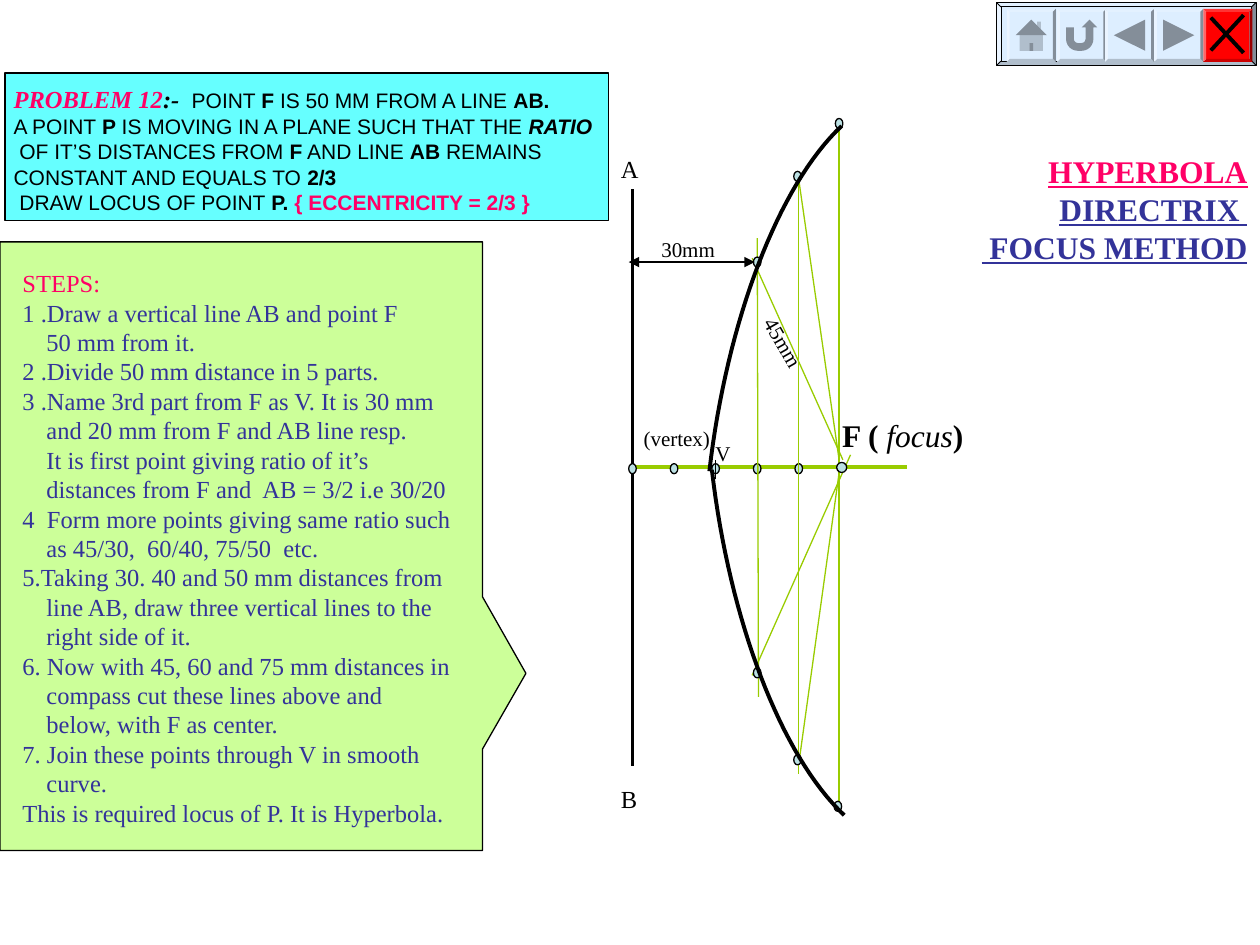
from dataclasses import dataclass
from typing import NamedTuple, Optional

from lxml.etree import SubElement
from pptx import Presentation
from pptx.dml.color import RGBColor
from pptx.enum.shapes import MSO_CONNECTOR, MSO_SHAPE
from pptx.enum.text import MSO_AUTO_SIZE, PP_ALIGN
from pptx.oxml.ns import qn
from pptx.util import Inches, Pt


@dataclass(frozen=True)
class Theme:
    black: str = "000000"
    pink: str = "FF0066"
    navy: str = "333399"
    green: str = "99CC00"
    dot: str = "BBE0E3"
    cyan: str = "66FFFF"
    lime: str = "CCFF99"
    button: str = "DDEEFF"
    red: str = "FF0000"
    serif: str = "Times New Roman"
    sans: str = "Arial"
    large: float = 18
    medium: float = 14
    small: float = 12
    thin: float = 0.75
    thick: float = 2.25


T = Theme()


class Run(NamedTuple):
    text: str
    bold: bool = False
    italic: bool = False
    color: Optional[str] = None
    size: Optional[float] = None
    font: Optional[str] = None


class Para(NamedTuple):
    runs: list[Run]
    color: str = T.black
    underline: bool = False
    indent: float = 0


class Box(NamedTuple):
    x: float
    y: float
    w: float
    h: float


class Label(NamedTuple):
    text: str
    box: Box
    size: float
    rotation: float = 0


class Segment(NamedTuple):
    x1: float
    y1: float
    x2: float
    y2: float


def add_line(s, seg: Segment, color: str, width: float, arrows: bool = False):
    ln = s.shapes.add_connector(MSO_CONNECTOR.STRAIGHT, *map(Inches, seg))
    ln.line.color.rgb = RGBColor.from_string(color)
    ln.line.width = Pt(width)
    if arrows:
        for end in ("a:headEnd", "a:tailEnd"):
            SubElement(ln.line._get_or_add_ln(), qn(end), type="triangle")
    SubElement(ln._element.spPr, qn("a:effectLst"))


def add_box(s, kind, box: Box, fill: str, line: Optional[str] = T.black, width: float = T.thin):
    sp = s.shapes.add_shape(kind, *map(Inches, box))
    sp.shadow.inherit = False
    sp.fill.solid()
    sp.fill.fore_color.rgb = RGBColor.from_string(fill)
    if line:
        sp.line.color.rgb = RGBColor.from_string(line)
        sp.line.width = Pt(width)
    else:
        sp.line.fill.background()
    return sp


def add_dot(s, cx: float, cy: float, w: float = 0.06, h: float = 0.08):
    add_box(s, MSO_SHAPE.OVAL, Box(cx - w / 2, cy - h / 2, w, h), T.dot)


def add_curve(s, points: list[tuple[float, float]], steps: int = 32):
    """Draw a cubic Bezier curve from its four control points."""
    weights = [((1 - t) ** 3, 3 * t * (1 - t) ** 2, 3 * t * t * (1 - t), t ** 3)
               for t in (i / steps for i in range(steps + 1))]
    trace = [tuple(Inches(sum(k * p[axis] for k, p in zip(ws, points))) for axis in (0, 1))
             for ws in weights]
    builder = s.shapes.build_freeform(*trace[0])
    builder.add_line_segments(trace[1:], close=False)
    sp = builder.convert_to_shape()
    sp.shadow.inherit = False
    sp.fill.background()
    sp.line.color.rgb = RGBColor.from_string(T.black)
    sp.line.width = Pt(T.thick)


def add_text(s, box: Box, paras: list[Para], size: float, font: str = T.serif,
             align=PP_ALIGN.LEFT, wrap: bool = False):
    tb = s.shapes.add_textbox(*map(Inches, box))
    tf = tb.text_frame
    tf.word_wrap = wrap
    tf.auto_size = MSO_AUTO_SIZE.SHAPE_TO_FIT_TEXT
    for i, para in enumerate(paras):
        p = tf.paragraphs[0] if i == 0 else tf.add_paragraph()
        p.alignment = align
        if para.indent:
            p._p.get_or_add_pPr().set("marL", str(Inches(para.indent)))
        p.font.name, p.font.size = font, Pt(size)
        p.font.underline = para.underline
        p.font.color.rgb = RGBColor.from_string(para.color)
        for run in para.runs:
            r = p.add_run()
            r.text = run.text
            r.font.bold, r.font.italic = run.bold, run.italic
            if run.color:
                r.font.color.rgb = RGBColor.from_string(run.color)
            if run.size:
                r.font.size = Pt(run.size)
            if run.font:
                r.font.name = run.font
    return tb


AXIS_Y, LINE_X, PART = 3.72, 5.02, 0.33
RAYS = [
    Segment(6.01, 1.89, 6.02, 5.53), Segment(6.69, 3.65, 5.97, 2.05), Segment(6.75, 3.61, 5.97, 5.36),
    Segment(6.34, 1.36, 6.34, 6.14), Segment(6.66, 3.65, 6.33, 1.36), Segment(6.67, 3.68, 6.34, 6.06),
    Segment(6.66, 1, 6.66, 6.44),
]
LOCUS_POINTS = [(6.01, 2.08), (6.33, 1.4), (6.66, 0.98), (6.01, 5.34), (6.33, 6.03), (6.65, 6.4)]
CURVES = [
    [(6.7, 6.47), (6.2, 6), (5.79, 4.93), (5.65, 3.73)],
    [(6.68, 1), (6.18, 1.47), (5.77, 2.54), (5.63, 3.74)],
]
LABELS = [
    Label("V", Box(5.58, 3.45, 0.32, 0.3), T.small),
    Label("(vertex)", Box(5.01, 3.33, 0.75, 0.3), T.small),
    Label("A", Box(4.83, 1.17, 0.34, 0.34), T.medium),
    Label("B", Box(4.83, 6.17, 0.33, 0.34), T.medium),
    Label("30mm", Box(5.15, 1.83, 0.65, 0.3), T.small),
    Label("45mm", Box(5.9, 2.58, 0.65, 0.3), T.small, 60.2),
]
PROBLEM = [
    [Run("PROBLEM 12", True, True, T.pink, T.medium, T.serif),
     Run(":-  ", True, True, size=T.medium, font=T.serif),
     Run("POINT "), Run("F", True), Run(" IS 50 MM FROM A LINE "), Run("AB.", True)],
    [Run("A POINT"), Run(" P ", True), Run("IS MOVING IN A PLANE SUCH THAT THE "), Run("RATIO", True, True)],
    [Run(" OF IT’S DISTANCES FROM "), Run("F", True), Run(" AND LINE "), Run("AB ", True), Run("REMAINS")],
    [Run("CONSTANT AND EQUALS TO "), Run("2/3", True)],
    [Run(" DRAW LOCUS OF POINT "), Run("P.", True), Run(" { ECCENTRICITY = 2/3 }", True, color=T.pink)],
]
STEPS = [
    ["1 .Draw a vertical line AB and point F", "50 mm from it."],
    ["2 .Divide 50 mm distance in 5 parts."],
    ["3 .Name 3rd part from F as V. It is 30 mm", "and 20 mm from F and AB line resp.",
     "It is first point giving ratio of it’s", "distances from F and  AB = 3/2 i.e 30/20"],
    ["4  Form more points giving same ratio such", "as 45/30,  60/40, 75/50  etc."],
    ["5.Taking 30. 40 and 50 mm distances from", "line AB, draw three vertical lines to the",
     "right side of it."],
    ["6. Now with 45, 60 and 75 mm distances in", "compass cut these lines above and",
     "below, with F as center."],
    ["7. Join these points through V in smooth", "curve."],
    ["This is required locus of P. It is Hyperbola."],
]
BUTTONS = [
    (MSO_SHAPE.ACTION_BUTTON_HOME, 7.99, T.button), (MSO_SHAPE.ACTION_BUTTON_RETURN, 8.39, T.button),
    (MSO_SHAPE.ACTION_BUTTON_BACK_OR_PREVIOUS, 8.77, T.button),
    (MSO_SHAPE.ACTION_BUTTON_FORWARD_OR_NEXT, 9.16, T.button), (None, 9.55, T.red),
]


def draw_construction(s):
    # Directrix, axis and its equal parts
    add_line(s, Segment(LINE_X, 1.5, LINE_X, 6.08), T.black, T.thick)
    add_line(s, Segment(LINE_X, 3.71, 7.2, 3.71), T.green, T.thick)
    for i in range(5):
        add_dot(s, LINE_X + i * PART, AXIS_Y)
    add_line(s, Segment(5.68, 3.65, 5.68, 3.8), T.black, T.thin)
    # Rays, points of the locus and the curve through them
    for ray in RAYS:
        add_line(s, ray, T.green, T.thin)
    for x, y in LOCUS_POINTS:
        add_dot(s, x, y)
    for curve in CURVES:
        add_curve(s, curve)
    # Focus, dimension and labels
    add_text(s, Box(6.58, 3.25, 1.17, 0.4),
             [Para([Run("F ( ", True), Run("focus", italic=True), Run(")", True)])],
             T.large, align=PP_ALIGN.CENTER)
    add_dot(s, 6.68, 3.71, 0.08, 0.08)
    add_line(s, Segment(5.99, 2.08, 4.99, 2.08), T.black, T.thin, arrows=True)
    for label in LABELS:
        tb = add_text(s, label.box, [Para([Run(label.text)])], label.size)
        tb.rotation = label.rotation


def draw_text_panels(s):
    # Title
    title = [("HYPERBOLA", T.pink), ("DIRECTRIX ", T.navy), (" FOCUS METHOD", T.navy)]
    add_text(s, Box(7.69, 1.16, 2.31, 1), [Para([Run(t, True)], c, True) for t, c in title],
             T.large, align=PP_ALIGN.RIGHT)
    # Problem
    add_box(s, MSO_SHAPE.RECTANGLE, Box(0.04, 0.58, 4.79, 1.17), T.cyan)
    add_text(s, Box(0.01, 0.62, 4.86, 1.14), [Para(runs) for runs in PROBLEM], T.small, T.sans)
    # Steps, with continuation lines indented
    callout = add_box(s, MSO_SHAPE.RECTANGULAR_CALLOUT, Box(0, 1.92, 3.83, 4.83), T.lime)
    callout.adjustments[0], callout.adjustments[1] = 0.59, 0.209
    lines = [Para([Run(line)], T.navy, indent=0.19 if i else 0)
             for step in STEPS for i, line in enumerate(step)]
    add_text(s, Box(0.08, 2.08, 3.75, 4.54), [Para([Run("STEPS:")], T.pink)] + lines, T.medium, wrap=True)


def draw_navigation(s):
    frame = add_box(s, MSO_SHAPE.BEVEL, Box(7.91, 0.02, 2.06, 0.5), T.button, width=0.5)
    frame.adjustments[0] = 0.07
    # Each button is a bevel with its symbol inset
    for symbol, x, fill in BUTTONS:
        bevel = add_box(s, MSO_SHAPE.BEVEL, Box(x, 0.07, 0.39, 0.42), fill, line=None)
        bevel.adjustments[0] = 0.06
        if symbol:
            add_box(s, symbol, Box(x + 0.03, 0.1, 0.33, 0.36), fill, line=None)
    for stroke in (Segment(9.61, 0.14, 9.87, 0.42), Segment(9.87, 0.12, 9.61, 0.4)):
        add_line(s, stroke, T.black, T.thick)


def main():
    prs = Presentation()
    prs.slide_width, prs.slide_height = Inches(10), Inches(7.5)
    s = prs.slides.add_slide(prs.slide_layouts[6])
    draw_construction(s)
    draw_text_panels(s)
    draw_navigation(s)
    prs.save("out.pptx")


if __name__ == "__main__":
    main()
